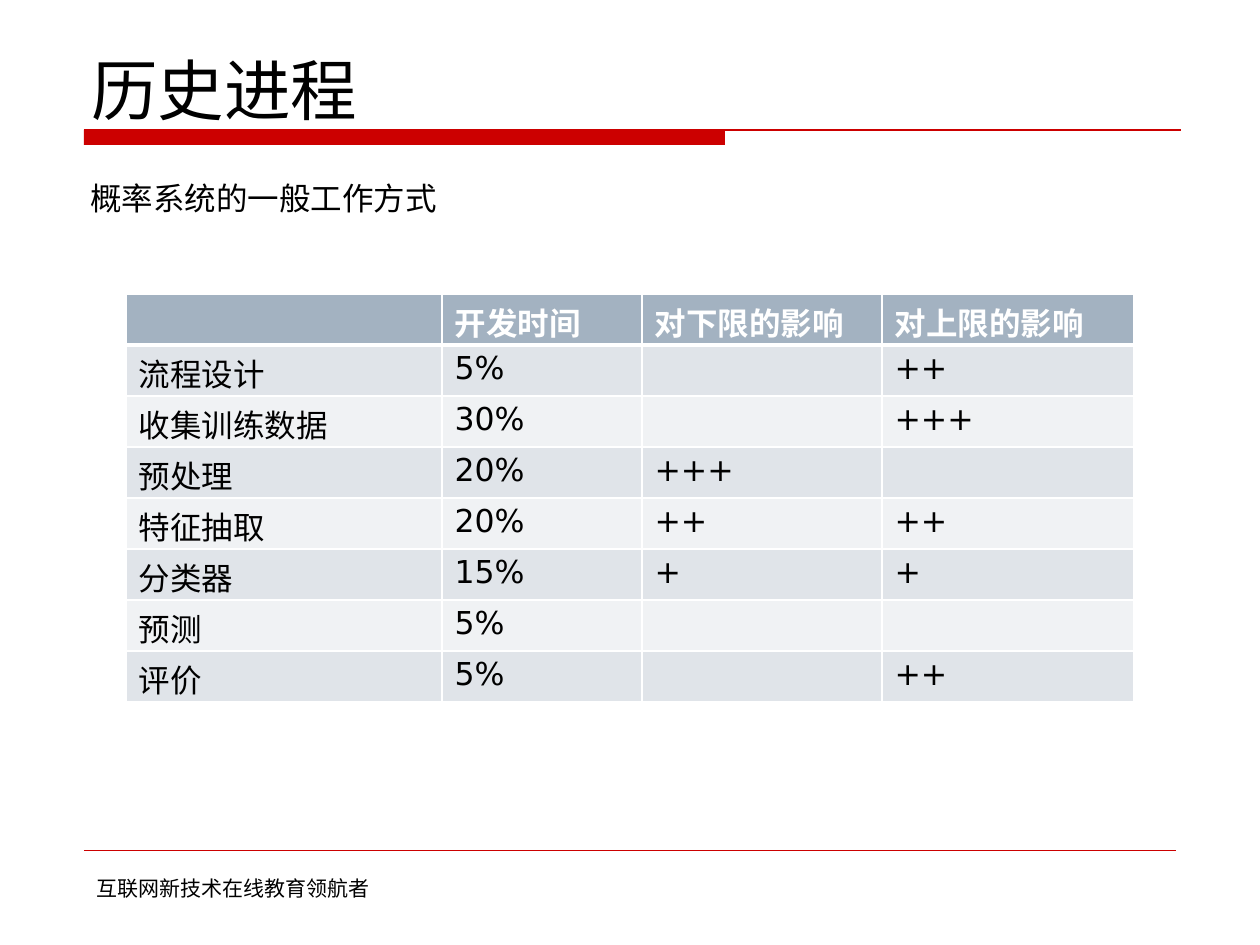
from typing import NamedTuple

from lxml import etree
from pptx import Presentation
from pptx import util as u
from pptx.dml.color import RGBColor
from pptx.enum import shapes, text
from pptx.oxml.ns import qn

EMU_PER_PX = 914400 / 126
COLORS = {"red": "CC0000", "black": "000000", "white": "FFFFFF",
          "header": "A3B2C1", "odd": "E0E4E9", "even": "F0F2F4"}
COL_WIDTHS = (316, 200, 240, 252)
ROW_HEIGHT = 51
ROWS = (
    ("", "开发时间", "对下限的影响", "对上限的影响"),
    ("流程设计", "5%", "", "++"),
    ("收集训练数据", "30%", "", "+++"),
    ("预处理", "20%", "+++", ""),
    ("特征抽取", "20%", "++", "++"),
    ("分类器", "15%", "+", "+"),
    ("预测", "5%", "", ""),
    ("评价", "5%", "", "++"),
)


class Label(NamedTuple):
    words: str
    box: tuple[int, int, int, int]
    size: int
    font: str
    wrap: bool = False
    anchor: text.MSO_ANCHOR = text.MSO_ANCHOR.TOP


class Rule(NamedTuple):
    left: int
    right: int
    y: int
    weight: float


LABELS = (
    Label("历史进程", (79, 42, 1103, 93), 38, "Times New Roman", True, text.MSO_ANCHOR.BOTTOM),
    Label("概率系统的一般工作方式", (78, 173, 375, 50), 18, "DejaVu Sans"),
    Label("互联网新技术在线教育领航者", (84, 869, 301, 38), 12, "Noto Sans CJK SC"),
)
RULES = (Rule(84, 1181, 130, 0.75), Rule(84, 1176, 850, 0.25))


def px(n: int) -> u.Emu:
    return u.Emu(round(n * EMU_PER_PX))


def rgb(name: str) -> RGBColor:
    return RGBColor.from_string(COLORS[name])


def write(tf, words: str, size: int, font: str, color: str = "black", bold: bool = False) -> None:
    r = tf.paragraphs[0].add_run()
    r.text = words
    for key, value in {"size": u.Pt(size), "name": font, "bold": bold}.items():
        setattr(r.font, key, value)
    r.font.color.rgb = rgb(color)


def add_label(s, label: Label) -> None:
    tf = s.shapes.add_textbox(*map(px, label.box)).text_frame
    for key, value in {"word_wrap": label.wrap, "vertical_anchor": label.anchor}.items():
        setattr(tf, key, value)
    write(tf, label.words, label.size, label.font)


def add_rule(s, rule: Rule) -> None:
    line = s.shapes.add_connector(shapes.MSO_CONNECTOR.STRAIGHT, px(rule.left), px(rule.y),
                                  px(rule.right), px(rule.y))
    line.line.color.rgb = rgb("red")
    line.line.width = u.Pt(rule.weight)
    etree.SubElement(line._element.spPr, qn("a:effectLst"))


def add_bar(s) -> None:
    bar = s.shapes.add_shape(shapes.MSO_SHAPE.RECTANGLE, px(84), px(130), px(641), px(15))
    bar.shadow.inherit = False
    bar.fill.solid()
    bar.fill.fore_color.rgb = rgb("red")
    bar.line.fill.background()


def set_borders(cell, bottom: int) -> None:
    """Draw white cell borders; they must come before the fill in the XML."""
    tc_pr = cell._tc.get_or_add_tcPr()
    for side, weight in {"L": 1, "R": 1, "T": 1, "B": bottom}.items():
        ln = etree.SubElement(tc_pr, qn(f"a:ln{side}"), w=str(u.Pt(weight)))
        fill = etree.SubElement(ln, qn("a:solidFill"))
        etree.SubElement(fill, qn("a:srgbClr"), val=COLORS["white"])


def add_effort_table(s) -> None:
    table = s.shapes.add_table(len(ROWS), len(COL_WIDTHS), px(126), px(294),
                               px(sum(COL_WIDTHS)), px(ROW_HEIGHT * len(ROWS))).table
    for column, width in zip(table.columns, COL_WIDTHS):
        column.width = px(width)
    for i, row in enumerate(ROWS):
        header = i == 0
        table.rows[i].height = px(ROW_HEIGHT)
        for j, words in enumerate(row):
            cell = table.cell(i, j)
            for key, value in {"margin_top": px(5), "margin_bottom": 0}.items():
                setattr(cell, key, value)
            set_borders(cell, bottom=3 if header else 1)
            cell.fill.solid()
            cell.fill.fore_color.rgb = rgb("header" if header else "odd" if i % 2 else "even")
            font = "DejaVu Sans" if words.isascii() else "Noto Sans CJK SC"
            write(cell.text_frame, words, 18, font, "white" if header else "black", header)
            if not words.isascii():
                r_pr = cell.text_frame.paragraphs[0].runs[0].font._element
                etree.SubElement(r_pr, qn("a:ea"), typeface=font)


def main() -> None:
    prs = Presentation()
    prs.slide_width, prs.slide_height = px(1260), px(945)
    s = prs.slides.add_slide(prs.slide_layouts[6])
    add_bar(s)
    for rule in RULES:
        add_rule(s, rule)
    for label in LABELS:
        add_label(s, label)
    add_effort_table(s)
    prs.save("out.pptx")


if __name__ == "__main__":
    main()
